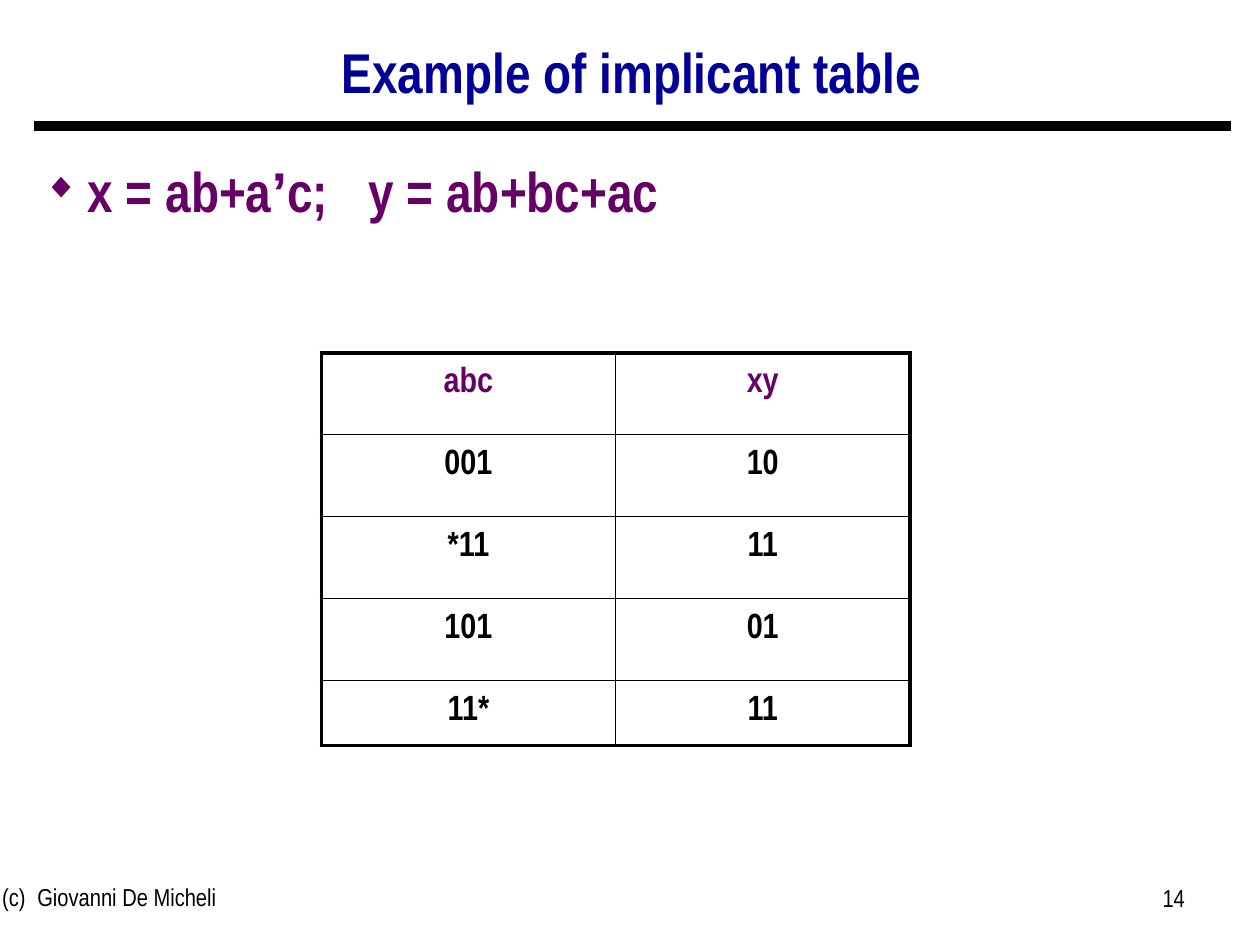
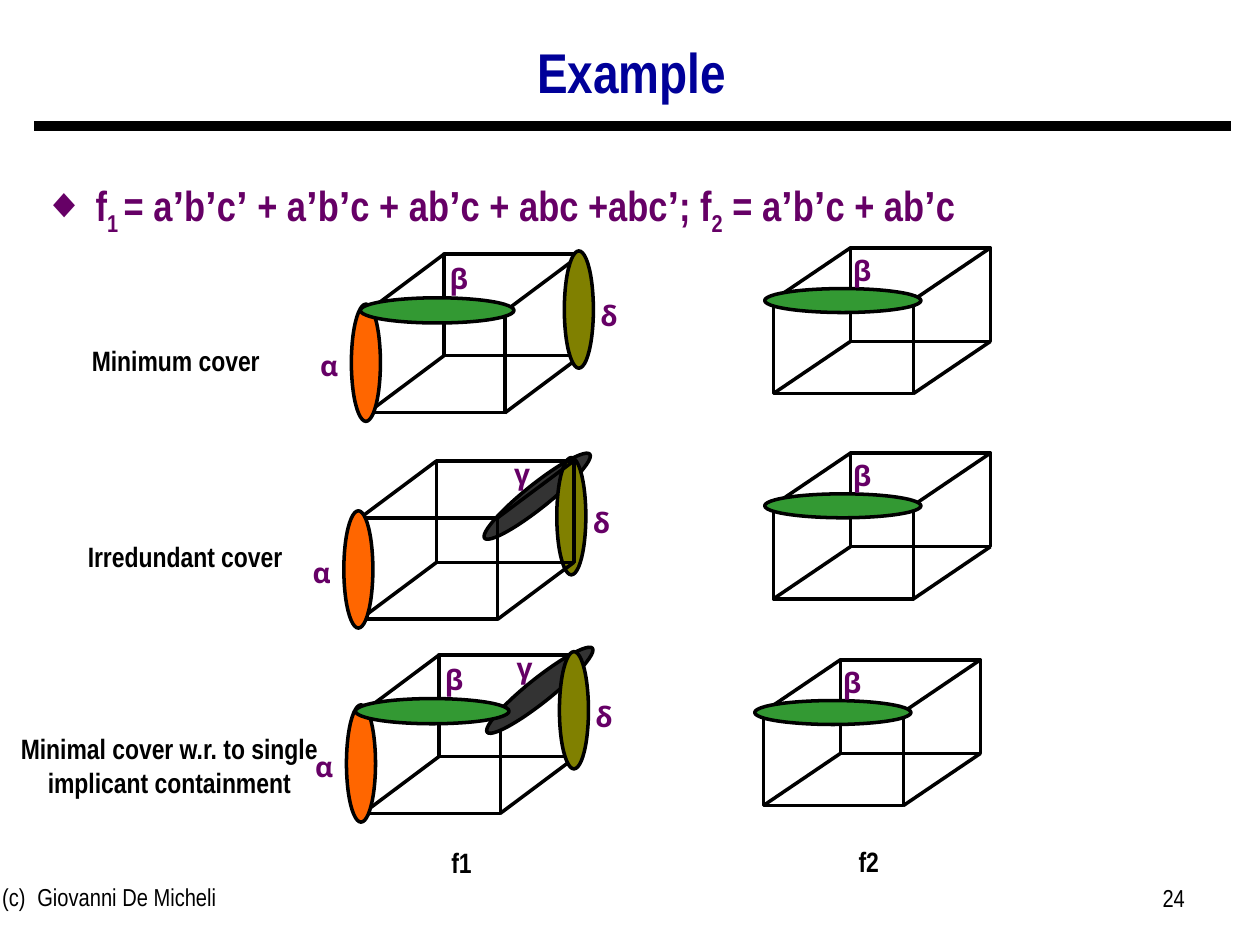
from itertools import groupby

from lxml.etree import SubElement as Sub
from pptx import Presentation
from pptx.dml.color import RGBColor
from pptx.enum.shapes import MSO_CONNECTOR as CONN, MSO_SHAPE as SHAPE
from pptx.enum.text import MSO_ANCHOR as ANCHOR, PP_ALIGN as ALIGN
from pptx.oxml.ns import qn
from pptx.util import Pt

BLACK, NAVY, PURPLE, WHITE = "000000", "000099", "660066", "FFFFFF"
NARROW = "Arial Narrow"
TITLE = {"name": NARROW, "size": Pt(32), "bold": True, "color": NAVY}
FOOTER = {"name": NARROW, "size": Pt(14), "bold": False, "color": BLACK}
CAPTION = {"name": NARROW, "size": Pt(16), "bold": True, "color": BLACK}
GREEK = {"name": "Noto Sans", "size": Pt(16), "bold": True, "color": PURPLE}
FORMULA = {"name": NARROW, "size": Pt(32), "bold": True, "color": PURPLE}
CELL = {"name": NARROW, "size": Pt(20), "bold": True, "color": BLACK}

F1_CUBE = (78.5, 58, 43.5, 32.5)
F2_CUBE = (80, 53.5, 44, 29.8)
F1_MARKS = {
    "α": ((-9.4, -4, 16.6, 67), 0, "FF6600", (-34.6, 18)),
    "β": ((-4.3, -7.6, 87.8, 14.4), 0, "339933", (39.6, -31.7)),
    "γ": ((62.6, -19.2, 77, 13.7), 321.4, "333333", (79.9, -38.6)),
    "δ": ((112.3, -34.4, 16.6, 67), 0, "808000", (125.3, -10.6)),
}
F2_MARKS = {"β": ((-5, -6.5, 89.3, 13.7), 0, "339933", (38.2, -30.2))}


def rgb(hex_color):
    """Turn a hex string into a colour."""
    return RGBColor.from_string(hex_color)


def style(font, fmt):
    """Set font attributes from a dict of format values."""
    for key, value in fmt.items():
        if key == "color":
            font.color.rgb = rgb(value)
        else:
            setattr(font, key, value)


def add_tab(p, pos):
    """Add a left tab stop to a paragraph."""
    tabs = Sub(p._p.get_or_add_pPr(), qn("a:tabLst"))
    Sub(tabs, qn("a:tab"), pos=str(Pt(pos)), algn="l")


def add_text(s, box, text, fmt, align=ALIGN.LEFT, wrap=True, tab=None):
    """Add a text box holding one paragraph."""
    tf = s.shapes.add_textbox(*map(Pt, box)).text_frame
    tf.word_wrap = wrap
    p = tf.paragraphs[0]
    p.alignment = align
    if tab:
        add_tab(p, tab)
    r = p.add_run()
    r.text = text
    style(r.font, fmt)
    return tf


def add_line(s, x1, y1, x2, y2, width=2):
    """Add a straight black line without shadow."""
    ln = s.shapes.add_connector(CONN.STRAIGHT, *map(Pt, (x1, y1, x2, y2)))
    ln.line.width = Pt(width)
    ln.line.color.rgb = rgb(BLACK)
    Sub(ln._element.spPr, qn("a:effectLst"))


def add_outlined(s, kind, box, fill=None, turn=0):
    """Add a preset shape with a black outline."""
    sp = s.shapes.add_shape(kind, *map(Pt, box))
    sp.shadow.inherit = False
    sp.rotation = turn
    sp.line.width = Pt(2)
    sp.line.color.rgb = rgb(BLACK)
    if fill:
        sp.fill.solid()
        sp.fill.fore_color.rgb = rgb(fill)
    else:
        sp.fill.background()


def add_frame(prs, title, number):
    """Add a slide with its title, rule and footer."""
    s = prs.slides.add_slide(prs.slide_layouts[6])
    add_line(s, 19.5, 72, 703.5, 72, 6)
    add_text(s, (-5.8, 500.4, 228, 37.4), "(c)\tGiovanni De Micheli", FOOTER, tab=20)
    add_text(s, (516.2, 501.1, 168, 37.4), str(number), FOOTER, ALIGN.RIGHT)
    tf = add_text(s, (18.7, 15.8, 684.7, 54), title, TITLE, ALIGN.CENTER)
    tf.vertical_anchor = ANCHOR.MIDDLE
    tf.paragraphs[0].line_spacing = 0.9
    return s


def add_formula(s, box, parts, size, indent, bullet_pct, tab=None):
    """Add a bulleted formula of (text, is subscript) parts."""
    tf = s.shapes.add_textbox(*map(Pt, box)).text_frame
    tf.word_wrap = True
    p = tf.paragraphs[0]
    p.line_spacing = 1.25
    pPr = p._p.get_or_add_pPr()
    pPr.set("marL", str(Pt(indent)))
    pPr.set("indent", str(-Pt(indent)))
    Sub(Sub(pPr, qn("a:buClr")), qn("a:srgbClr"), val=PURPLE)
    Sub(pPr, qn("a:buSzPct"), val=str(bullet_pct * 1000))
    Sub(pPr, qn("a:buFont"), typeface=NARROW)
    Sub(pPr, qn("a:buChar"), char="◆")
    if tab:
        add_tab(p, tab)
    for text, is_sub in parts:
        for is_prime, chars in groupby(text, lambda c: c == "’"):
            r = p.add_run()
            r.text = "".join(chars)
            name = "Arial" if is_prime else NARROW
            style(r.font, FORMULA | {"size": Pt(size), "name": name})
            if is_sub:
                r.font._element.set("baseline", "-25000")


def set_borders(cell, widths):
    """Draw the left, right, top and bottom borders of a cell."""
    tcPr = cell._tc.get_or_add_tcPr()
    for i, (side, width) in enumerate(zip("LRTB", widths)):
        ln = tcPr.makeelement(qn(f"a:ln{side}"), {"w": str(Pt(width))})
        Sub(Sub(ln, qn("a:solidFill")), qn("a:srgbClr"), val=BLACK)
        tcPr.insert(i, ln)


def add_implicant_table(s, box, rows, heights):
    """Add the table with a heavy frame and thin inner lines."""
    n, m = len(rows), len(rows[0])
    tbl = s.shapes.add_table(n, m, *map(Pt, box)).table
    for col in tbl.columns:
        col.width = Pt(box[2] / m)
    for i, values in enumerate(rows):
        tbl.rows[i].height = Pt(heights[i])
        for j, value in enumerate(values):
            cell = tbl.cell(i, j)
            cell.fill.background()
            p = cell.text_frame.paragraphs[0]
            p.alignment, p.line_spacing = ALIGN.CENTER, 1.25
            r = p.add_run()
            r.text = value
            style(r.font, CELL | {"color": BLACK if i else PURPLE})
            outer = (j == 0, j == m - 1, i == 0, i == n - 1)
            set_borders(cell, [2.25 if edge else 1 for edge in outer])


def add_cube(s, x, y, size):
    """Add a wire cube whose front face starts at x, y."""
    w, h, dx, dy = size
    add_outlined(s, SHAPE.RECTANGLE, (x + dx, y - dy, w, h))
    add_outlined(s, SHAPE.RECTANGLE, (x, y, w, h))
    for cx in (x, x + w):
        for cy in (y, y + h):
            add_line(s, cx, cy, cx + dx, cy - dy)


def add_cover(s, x, y, size, marks, front, behind=""):
    """Add a cube with the named implicants behind and in front of it."""

    def add_implicants(names):
        """Add the ellipses of the named implicants."""
        for name in names:
            (dx, dy, w, h), turn, color, _ = marks[name]
            add_outlined(s, SHAPE.OVAL, (x + dx, y + dy, w, h), color, turn)

    add_implicants(behind)
    add_cube(s, x, y, size)
    add_implicants(front)
    for name in behind + front:
        dx, dy = marks[name][3]
        add_text(s, (x + dx, y + dy, 25, 26.6), name, GREEK, ALIGN.CENTER, False)


def table_slide(prs):
    """Build the slide with the implicant table."""
    s = add_frame(prs, "Example of implicant table", 14)
    parts = [("x = ab+a’c;\ty = ab+bc+ac", False)]
    add_formula(s, (18, 76.3, 495.4, 418), parts, 32, 25, 64, 185.5)
    rows = [("abc", "xy"), ("001", "10"), ("*11", "11"), ("101", "01"), ("11*", "11")]
    add_implicant_table(s, (183.6, 201.6, 336.4, 218), rows, [46.8] * 4 + [30.5])


def cover_slide(prs):
    """Build the slide comparing three covers of two functions."""
    s = add_frame(prs, "Example", 24)
    parts = [("f", False), ("1 ", True),
             ("= a’b’c’ + a’b’c + ab’c + abc +abc’; f", False),
             ("2", True), (" = a’b’c + ab’c", False)]
    add_formula(s, (18, 91, 648.7, 403), parts, 24, 29.5, 99)
    covers = [
        ("Minimum cover", (42.5, 193, 116), (210.2, 177.8), "αβδ", "", (442, 171.4)),
        ("Irredundant cover", (33.8, 304.6, 144), (205.9, 295.9), "α", "γδ", (442, 288.7)),
        ("Minimal cover w.r. to single implicant containment", (-2.9, 414.7, 199.4),
         (207.4, 406.8), "αγβδ", "", (436.3, 406.8)),
    ]
    for name, (x, y, w), f1, front, behind, f2 in covers:
        add_cover(s, *f1, F1_CUBE, F1_MARKS, front, behind)
        add_cover(s, *f2, F2_CUBE, F2_MARKS, "β")
        add_text(s, (x, y, w, 26.6), name, CAPTION, ALIGN.CENTER)
    for name, x, y in (("f1", 249, 479.5), ("f2", 481.7, 478.8)):
        add_text(s, (x, y, 29.5, 26.6), name, CAPTION, ALIGN.CENTER)


def main():
    """Build and save the presentation."""
    prs = Presentation()
    prs.slide_width, prs.slide_height = Pt(720), Pt(540)
    table_slide(prs)
    cover_slide(prs)
    prs.save("out.pptx")


if __name__ == "__main__":
    main()
